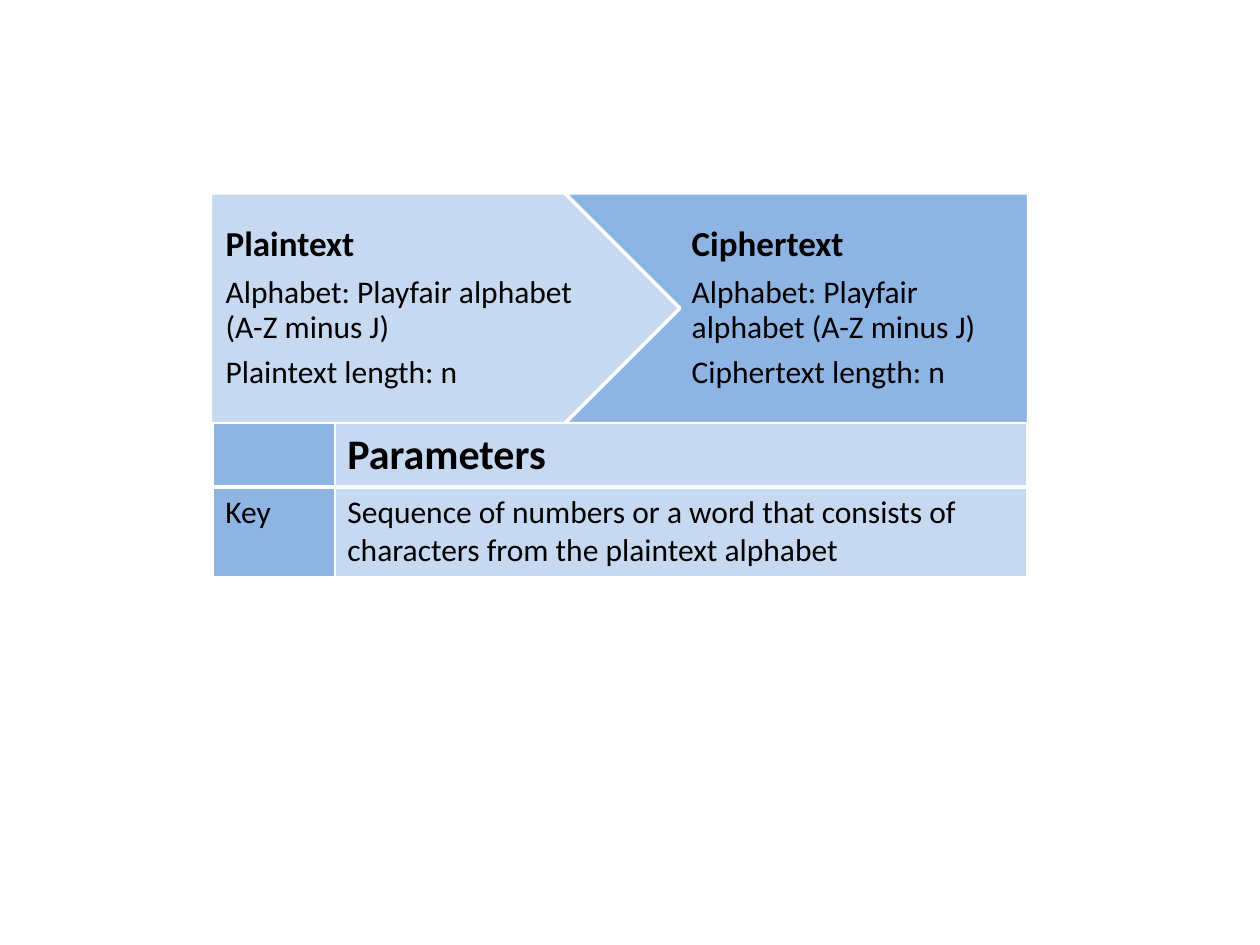
from lxml.etree import SubElement
from pptx import Presentation
from pptx.dml.color import RGBColor
from pptx.enum.shapes import MSO_SHAPE
from pptx.enum.text import MSO_ANCHOR, PP_ALIGN
from pptx.oxml.ns import qn
from pptx.util import Cm, Pt

THEME = {
    "font": "Calibri",
    "light": "C6D9F1", "mid": "8EB4E3", "white": "FFFFFF", "text": "000000",
    "heading": 20, "body": 18, "table_heading": 24,
    "outline": 2, "thin": 0.96, "thick": 3,
}

# preset, left, width, left inset (cm), fill, heading, details
STAGES = [
    (MSO_SHAPE.PENTAGON, 4.24, 10.01, 0.31, "light", "Plaintext",
     ["Alphabet: Playfair alphabet\n(A-Z minus J)", "Plaintext length: n"]),
    (MSO_SHAPE.CHEVRON, 11.38, 11.71, 0.24, "mid", "Ciphertext",
     ["Alphabet: Playfair alphabet (A-Z minus J)", "Ciphertext length: n"]),
]
STAGE_TOP, STAGE_HEIGHT = 3.89, 4.65
TIP_COVER = (20.7, 2.92, 2.39, 6.2)  # squares off the chevron's right end

PARAMETERS = [
    ["", "Parameters"],
    ["Key", "Sequence of numbers or a word that consists of "
            "characters from the plaintext alphabet"],
]
TABLE_LEFT, TABLE_TOP = 4.29, 8.53
COLUMN_WIDTHS, ROW_HEIGHTS = [2.46, 13.94], [1.19, 1.04]
COLUMN_FILLS = ["mid", "light"]


def color(name):
    return RGBColor.from_string(THEME[name])


def style(paragraph, size, bold):
    for run in paragraph.runs:
        run.font.name = THEME["font"]
        run.font.size = Pt(THEME[size])
        run.font.bold = bold
        run.font.color.rgb = color("text")


def add_block(slide, preset, box, fill):
    block = slide.shapes.add_shape(preset, *(Cm(length) for length in box))
    block.shadow.inherit = False
    block.fill.solid()
    block.fill.fore_color.rgb = color(fill)
    return block


def add_stage(slide, preset, left, width, inset, fill, heading, details):
    stage = add_block(slide, preset, (left, STAGE_TOP, width, STAGE_HEIGHT), fill)
    stage.adjustments[0] = 0.5
    stage.line.color.rgb = color("white")
    stage.line.width = Pt(THEME["outline"])

    frame = stage.text_frame
    frame.word_wrap = True
    frame.vertical_anchor = MSO_ANCHOR.MIDDLE
    frame.margin_left, frame.margin_right = Cm(inset), Cm(0.08)
    frame.margin_top = frame.margin_bottom = Cm(0.16)
    for index, line in enumerate([heading, *details]):
        paragraph = frame.add_paragraph() if index else frame.paragraphs[0]
        paragraph.text = line
        paragraph.alignment = PP_ALIGN.LEFT
        paragraph.line_spacing = 0.9
        paragraph.space_after = Pt(6.3 if index else 7)
        style(paragraph, "body" if index else "heading", index == 0)


def set_borders(cell, widths):
    """Draw white borders; widths maps L, R, T, B to a theme width."""
    properties = cell._tc.get_or_add_tcPr()
    for side, width in widths.items():
        border = SubElement(properties, qn(f"a:ln{side}"), w=str(Pt(THEME[width])))
        fill = SubElement(border, qn("a:solidFill"))
        SubElement(fill, qn("a:srgbClr"), val=THEME["white"])


def add_parameters(slide):
    table = slide.shapes.add_table(
        len(PARAMETERS), len(COLUMN_WIDTHS), Cm(TABLE_LEFT), Cm(TABLE_TOP),
        Cm(sum(COLUMN_WIDTHS)), Cm(sum(ROW_HEIGHTS))).table
    for column, width in zip(table.columns, COLUMN_WIDTHS):
        column.width = Cm(width)
    for row, height in zip(table.rows, ROW_HEIGHTS):
        row.height = Cm(height)

    for r, texts in enumerate(PARAMETERS):
        is_header = r == 0
        for c, text in enumerate(texts):
            cell = table.cell(r, c)
            set_borders(cell, {"L": "thin", "R": "thin",
                               "T": "thin" if is_header else "thick",
                               "B": "thick" if is_header else "thin"})
            cell.fill.solid()
            cell.fill.fore_color.rgb = color(COLUMN_FILLS[c])
            cell.text_frame.text = text
            style(cell.text_frame.paragraphs[0],
                  "table_heading" if is_header else "body", is_header)


def main():
    presentation = Presentation()
    presentation.slide_width, presentation.slide_height = Cm(25.4), Cm(19.05)
    slide = presentation.slides.add_slide(presentation.slide_layouts[6])
    for stage in STAGES:
        add_stage(slide, *stage)
    cover = add_block(slide, MSO_SHAPE.RECTANGLE, TIP_COVER, "white")
    cover.line.fill.background()
    add_parameters(slide)
    presentation.save("out.pptx")


if __name__ == "__main__":
    main()
